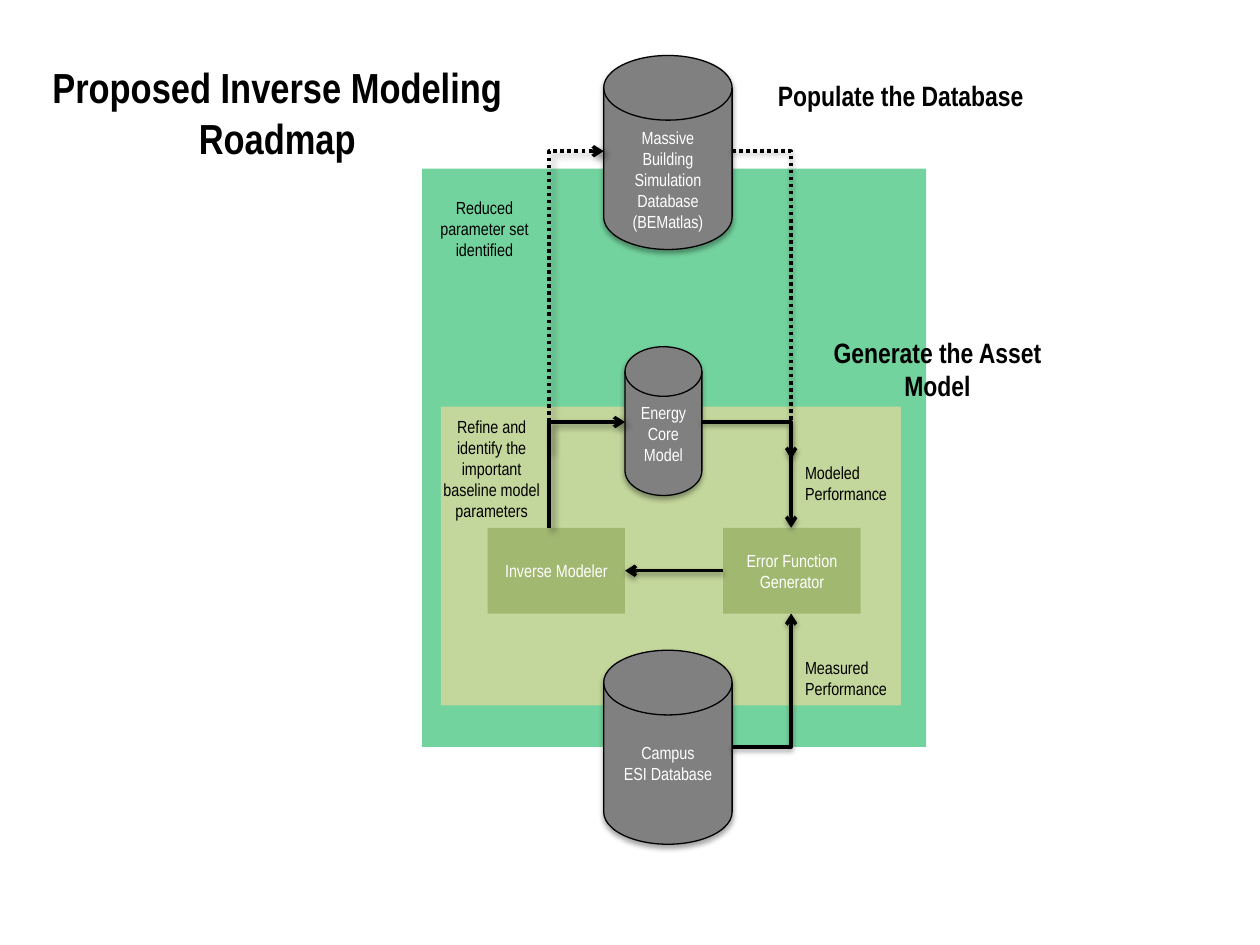
import lxml.etree
import pptx
import pptx.dml.color
import pptx.enum.dml
import pptx.enum.shapes
import pptx.enum.text
import pptx.oxml.ns
import pptx.util

Cm = pptx.util.Cm
Pt = pptx.util.Pt
RGBColor = pptx.dml.color.RGBColor
SHAPE = pptx.enum.shapes.MSO_SHAPE
CONNECTOR = pptx.enum.shapes.MSO_CONNECTOR
ALIGN = pptx.enum.text.PP_ALIGN
ANCHOR = pptx.enum.text.MSO_ANCHOR
DOTTED = pptx.enum.dml.MSO_LINE.ROUND_DOT
qn = pptx.oxml.ns.qn

BLACK = RGBColor(0x00, 0x00, 0x00)
WHITE = RGBColor(0xFF, 0xFF, 0xFF)
GREY = RGBColor(0x80, 0x80, 0x80)
GREEN = RGBColor(0x00, 0xB0, 0x50)
SAND = RGBColor(0xC3, 0xD6, 0x9B)
OLIVE = RGBColor(0x77, 0x93, 0x3C)


class Roadmap:
    """Holds the text style and the current slide."""

    font_format = {"name": "Arial Narrow", "size": Pt(10), "bold": False}

    def __init__(self, slide):
        self.slide = slide
        self.shapes = slide.shapes

    def fill_text(self, frame, lines, align=ALIGN.CENTER, color=BLACK, **changes):
        for index, line in enumerate(lines):
            paragraph = frame.paragraphs[0] if index == 0 else frame.add_paragraph()
            paragraph.alignment = align
            run = paragraph.add_run()
            run.text = line
            run.font.color.rgb = color
            for key, value in {**self.font_format, **changes}.items():
                setattr(run.font, key, value)

    def add_shadow(self, shape, alpha, blur, distance, angle):
        properties = shape._element.spPr
        effects = properties.find(qn("a:effectLst"))
        if effects is None:
            effects = lxml.etree.SubElement(properties, qn("a:effectLst"))
        shadow = lxml.etree.SubElement(effects, qn("a:outerShdw"), {
            "blurRad": str(Pt(blur)), "dist": str(Pt(distance)),
            "dir": str(angle * 60000), "rotWithShape": "0"})
        color = lxml.etree.SubElement(shadow, qn("a:srgbClr"), val=str(BLACK))
        lxml.etree.SubElement(color, qn("a:alpha"), val=str(alpha * 1000))

    def block(self, kind, place, fill, lines=(), alpha=None):
        shape = self.shapes.add_shape(kind, *map(Cm, place))
        shape.shadow.inherit = False
        shape.fill.solid()
        shape.fill.fore_color.rgb = fill
        shape.line.fill.background()
        if alpha:
            color = shape._element.spPr.find(qn("a:solidFill"))[0]
            lxml.etree.SubElement(color, qn("a:alpha"), val=str(alpha * 1000))
        shape.text_frame.vertical_anchor = ANCHOR.MIDDLE
        self.fill_text(shape.text_frame, lines, color=WHITE)
        return shape

    def cylinder(self, place, lines):
        shape = self.block(SHAPE.FLOWCHART_MAGNETIC_DISK, place, GREY, lines)
        shape.line.color.rgb = BLACK
        shape.line.width = Pt(0.75)
        self.add_shadow(shape, 35, 3.1, 1.8, 90)
        return shape

    def arrow(self, start, end, route="straight", dash=None):
        """Route is straight, across (then vertical) or up (then right)."""
        (x1, y1), (x2, y2) = start, end
        if route == "up":
            # A quarter turn swaps the width and height about the centre
            mid_x, mid_y = (x1 + x2) / 2, (y1 + y2) / 2
            half_w, half_h = (y1 - y2) / 2, (x2 - x1) / 2
            x1, y1 = mid_x + half_w, mid_y + half_h
            x2, y2 = mid_x - half_w, mid_y - half_h
        kind = CONNECTOR.STRAIGHT if route == "straight" else CONNECTOR.ELBOW
        line = self.shapes.add_connector(kind, *map(Cm, (x1, y1, x2, y2)))
        properties = line._element.spPr
        if route != "straight":
            properties.find(qn("a:prstGeom")).set("prst", "bentConnector2")
        if route == "up":
            properties.find(qn("a:xfrm")).set("rot", str(90 * 60000))
        line.line.color.rgb = BLACK
        for key, value in {"width": Pt(2), "dash_style": dash}.items():
            setattr(line.line, key, value)
        lxml.etree.SubElement(properties.find(qn("a:ln")), qn("a:tailEnd"), type="arrow")
        if route == "up":
            self.add_shadow(line, 43, 4, 3, 45)
        else:
            self.add_shadow(line, 38, 3.1, 1.6, 90)

    def label(self, place, lines, wrap=True, **changes):
        box = self.shapes.add_textbox(*map(Cm, place))
        box.text_frame.word_wrap = wrap
        self.fill_text(box.text_frame, lines, **changes)


def main():
    deck = pptx.Presentation()
    deck.slide_width, deck.slide_height = Cm(25.4), Cm(19.05)
    roadmap = Roadmap(deck.slides.add_slide(deck.slide_layouts[6]))

    # Background panels
    roadmap.block(SHAPE.RECTANGLE, (8.51, 3.4, 10.16, 11.66), GREEN, alpha=55)
    roadmap.block(SHAPE.RECTANGLE, (8.89, 8.2, 9.27, 6.02), SAND)

    # Databases and model
    database_left, database_size = 12.17, (2.59, 3.91)
    database_right = database_left + database_size[0]
    roadmap.cylinder((12.6, 6.99, 1.55, 3), ["EnergyCore Model"])
    roadmap.cylinder((database_left, 13.11, *database_size), ["Campus", "ESI Database"])
    simulations = roadmap.cylinder(
        (database_left, 1.12, *database_size),
        ["Massive Building Simulation", "Database (BEMatlas)"])
    simulations.text_frame.margin_top = Cm(0.55)

    # Processing steps
    step_top, step_width, step_height = 10.64, 2.77, 1.73
    modeler_left, error_left = 9.83, 14.58
    for left, step in ((error_left, "Error Function Generator"),
                       (modeler_left, "Inverse Modeler")):
        roadmap.block(SHAPE.RECTANGLE, (left, step_top, step_width, step_height),
                      OLIVE, [step], alpha=44)

    # Flow between the parts
    modeler_x, error_x = 11.07, 15.95
    model_y, simulations_y, campus_y = 8.51, 3.05, 15.06
    step_y = step_top + step_height / 2
    roadmap.arrow((14.15, model_y), (error_x, step_top), "across")
    roadmap.arrow((database_right, campus_y), (error_x, step_top + step_height), "across")
    roadmap.arrow((error_left, step_y), (modeler_left + step_width, step_y))
    roadmap.arrow((modeler_x, step_top), (12.6, model_y), "up")
    roadmap.arrow((modeler_x, 9.07), (database_left, simulations_y), "up", DOTTED)
    roadmap.arrow((database_right, simulations_y), (error_x, 9.25), "across", DOTTED)

    # Notes on the flow
    for top, measure in ((9.19, "Modeled"), (13.11, "Measured")):
        roadmap.label((15.98, top, 2.18, 1.12), [measure, "Performance"],
                      wrap=False, align=ALIGN.LEFT)
    roadmap.label((8.64, 8.26, 2.54, 2.39),
                  ["Refine and identify the important baseline model parameters"])
    roadmap.label((8.51, 3.84, 2.51, 1.55), ["Reduced parameter set identified"])

    # Title and stage headings
    roadmap.label((0.79, 1.12, 9.6, 2.31), ["Proposed Inverse Modeling Roadmap"],
                  size=Pt(24), bold=True)
    for place, stage in (((15.98, 6.63, 5.84, 1.63), "Generate the Asset Model"),
                         ((15.24, 1.45, 5.84, 0.94), "Populate the Database")):
        roadmap.label(place, [stage], size=Pt(16), bold=True)

    deck.save("out.pptx")


if __name__ == "__main__":
    main()
